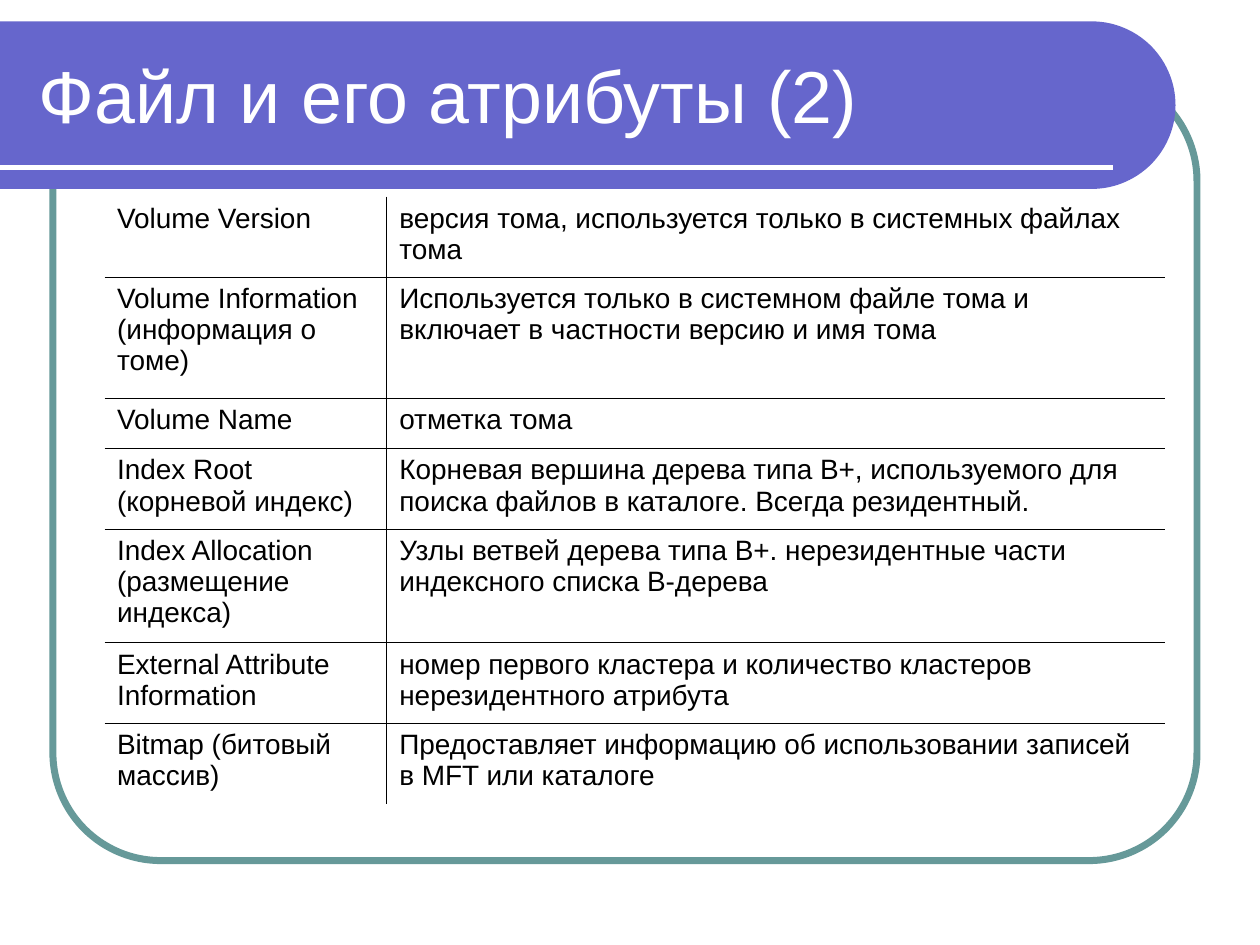
import math

from lxml import etree
from pptx import Presentation
from pptx.dml.color import RGBColor
from pptx.enum.shapes import MSO_CONNECTOR, MSO_SHAPE
from pptx.enum.text import MSO_ANCHOR
from pptx.oxml.ns import qn
from pptx.util import Inches, Pt

ROUNDED = MSO_SHAPE.ROUNDED_RECTANGLE
STRAIGHT = MSO_CONNECTOR.STRAIGHT
MIDDLE = MSO_ANCHOR.MIDDLE

COLORS = {"banner": "6666CC", "frame": "669999", "white": "FFFFFF", "black": "000000"}
TITLE_FONT = {"name": "Arial", "size": Pt(42), "bold": False}
CELL_FONT = {"name": "Arial", "size": Pt(16), "bold": False}
BORDER_WIDTH = Pt(0.45)

COL_WIDTHS = [2.24, 6.18]
ROWS = [
    (0.64, "Volume Version", "версия тома, используется только в системных файлах тома"),
    (0.96, "Volume Information (информация о томе)",
     "Используется только в системном файле тома и включает в частности версию и имя тома"),
    (0.4, "Volume Name", "отметка тома"),
    (0.64, "Index Root (корневой индекс)",
     "Корневая вершина дерева типа B+, используемого для поиска файлов в каталоге. "
     "Всегда резидентный."),
    (0.9, "Index Allocation (размещение индекса)",
     "Узлы ветвей дерева типа B+. нерезидентные части индексного списка B-дерева"),
    (0.64, "External Attribute Information",
     "номер первого кластера и количество кластеров нерезидентного атрибута"),
    (0.64, "Bitmap (битовый массив)",
     "Предоставляет информацию об использовании записей в MFT или каталоге"),
]


def rgb(name):
    return RGBColor.from_string(COLORS[name])


def write(tf, text, font, color):
    p = tf.paragraphs[0]
    r = p.add_run()
    r.text = text
    for key, value in font.items():
        setattr(r.font, key, value)
    r.font.color.rgb = rgb(color)


def add_frame(s, x, y, w, h):
    sp = s.shapes.add_shape(ROUNDED, Inches(x), Inches(y), Inches(w), Inches(h))
    sp.adjustments[0] = 0.137
    sp.shadow.inherit = False
    sp.fill.background()
    sp.line.color.rgb = rgb("frame")
    sp.line.width = Pt(4)


def add_banner(s, x, y, w, h, title):
    # Band with a half-round right end
    radius = h / 2
    angles = [math.radians(a) for a in range(-90, 91, 3)]
    arc = [(Inches(x + w - radius + radius * math.cos(a)),
            Inches(y + radius + radius * math.sin(a))) for a in angles]
    builder = s.shapes.build_freeform(Inches(x), Inches(y))
    builder.add_line_segments(arc + [(Inches(x), Inches(y + h))], close=True)
    sp = builder.convert_to_shape()
    sp.shadow.inherit = False
    sp.fill.solid()
    sp.fill.fore_color.rgb = rgb("banner")
    sp.line.fill.background()

    # White rule under the title
    rule_y = Inches(y + h - 0.17)
    rule = s.shapes.add_connector(STRAIGHT, Inches(x), rule_y, Inches(x + w - 0.5), rule_y)
    rule.line.color.rgb = rgb("white")
    rule.line.width = Pt(3)
    etree.SubElement(rule._element.spPr, qn("a:effectLst"))

    # Title
    box = s.shapes.add_textbox(Inches(x + 0.21), Inches(y + 0.08), Inches(w - 0.56), Inches(1))
    tf = box.text_frame
    tf.word_wrap = True
    tf.vertical_anchor = MIDDLE
    write(tf, title, TITLE_FONT, "white")


def set_borders(cell, shown):
    tcPr = cell._tc.get_or_add_tcPr()
    for side in "LRTB":
        ln = etree.SubElement(tcPr, qn(f"a:ln{side}"), w=str(BORDER_WIDTH))
        if side in shown:
            fill = etree.SubElement(ln, qn("a:solidFill"))
            etree.SubElement(fill, qn("a:srgbClr"), val=COLORS["black"])
        else:
            etree.SubElement(ln, qn("a:noFill"))


def add_attributes(s, x, y, w, h):
    last_row, last_col = len(ROWS) - 1, len(COL_WIDTHS) - 1
    table = s.shapes.add_table(len(ROWS), len(COL_WIDTHS), Inches(x), Inches(y),
                               Inches(w), Inches(h)).table
    table.first_row = table.horz_banding = False
    for column, width in zip(table.columns, COL_WIDTHS):
        column.width = Inches(width)
    for i, (height, *texts) in enumerate(ROWS):
        table.rows[i].height = Inches(height)
        for j, text in enumerate(texts):
            cell = table.cell(i, j)
            # Only the inner grid lines show
            inner = {"L": j > 0, "R": j < last_col, "T": i > 0, "B": i < last_row}
            set_borders(cell, [side for side, shown in inner.items() if shown])
            cell.fill.background()
            write(cell.text_frame, text, CELL_FONT, "black")


def main():
    prs = Presentation()
    prs.slide_width, prs.slide_height = Inches(10), Inches(7.5)
    s = prs.slides.add_slide(prs.slide_layouts[6])
    add_frame(s, 0.42, 0.58, 9.08, 6.25)
    add_banner(s, 0, 0.17, 9.33, 1.33, "Файл и его атрибуты (2)")
    add_attributes(s, 0.83, 1.56, sum(COL_WIDTHS), sum(row[0] for row in ROWS))
    prs.save("out.pptx")


if __name__ == "__main__":
    main()
